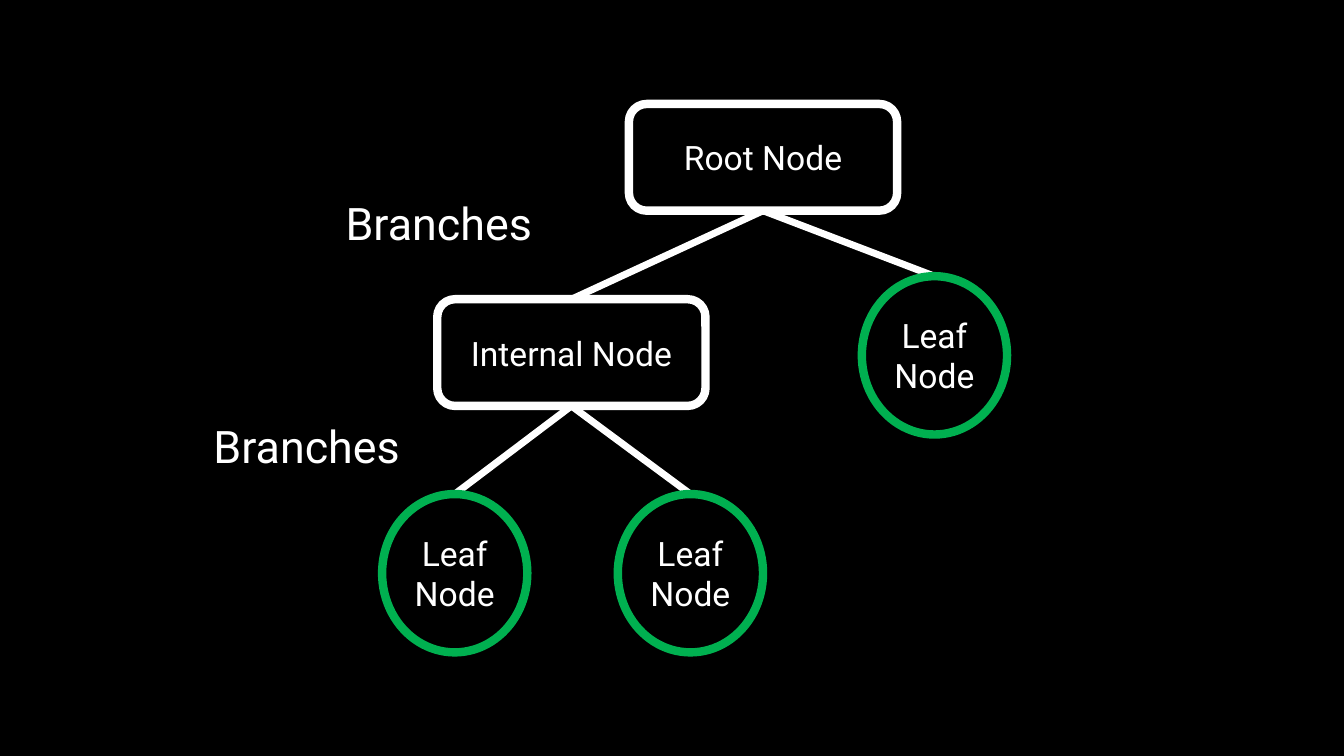
from dataclasses import dataclass

from lxml import etree
from pptx import Presentation
from pptx import util as u
from pptx.dml.color import RGBColor
from pptx.enum import shapes, text
from pptx.oxml import ns


@dataclass(frozen=True)
class Theme:
    background: RGBColor = RGBColor(0, 0, 0)
    ink: RGBColor = RGBColor(255, 255, 255)
    leaf: RGBColor = RGBColor(0x00, 0xB0, 0x50)
    font: str = "Roboto"
    node_size: u.Pt = u.Pt(24)
    label_size: u.Pt = u.Pt(32)
    outline: u.Pt = u.Pt(6)
    branch: u.Pt = u.Pt(5)


THEME = Theme()
BOX_SIZE = (u.Cm(6.76), u.Cm(2.69))
LEAF_SIZE = (u.Cm(3.66), u.Cm(3.99))
LABEL_SIZE = (u.Cm(5.21), u.Cm(1.47))
TOP, BOTTOM = 0, 2  # connection sites


def write(frame, words, size):
    """Fill a text frame with one styled paragraph and return it."""
    frame.word_wrap = True
    frame.text = words
    paragraph = frame.paragraphs[0]
    font = paragraph.runs[0].font
    font.name, font.size = THEME.font, size
    font.color.rgb = THEME.ink
    return paragraph


def add_node(slide, kind, left, top, size, words, outline):
    node = slide.shapes.add_shape(kind, u.Cm(left), u.Cm(top), *size)
    node.shadow.inherit = False
    node.fill.solid()
    node.fill.fore_color.rgb = THEME.background
    node.line.color.rgb = outline
    node.line.width = THEME.outline
    node.text_frame.vertical_anchor = text.MSO_ANCHOR.MIDDLE
    paragraph = write(node.text_frame, words, THEME.node_size)
    paragraph.alignment = text.PP_ALIGN.CENTER
    return node


def add_box(slide, left, top, words):
    return add_node(slide, shapes.MSO_SHAPE.ROUNDED_RECTANGLE, left, top,
                    BOX_SIZE, words, THEME.ink)


def add_leaf(slide, left, top):
    return add_node(slide, shapes.MSO_SHAPE.OVAL, left, top,
                    LEAF_SIZE, "Leaf Node", THEME.leaf)


def add_branch(slide, parent, child):
    """Join the bottom of a parent to the top of its child."""
    branch = slide.shapes.add_connector(shapes.MSO_CONNECTOR.STRAIGHT, 0, 0, 0, 0)
    branch.begin_connect(parent, BOTTOM)
    branch.end_connect(child, TOP)
    branch.line.color.rgb = THEME.ink
    branch.line.width = THEME.branch
    etree.SubElement(branch.element.spPr, ns.qn("a:effectLst"))


def add_label(slide, left, top):
    label = slide.shapes.add_textbox(u.Cm(left), u.Cm(top), *LABEL_SIZE)
    paragraph = write(label.text_frame, "Branches", THEME.label_size)
    paragraph.line_spacing = 0.9
    paragraph.space_before = u.Pt(10)


def main():
    deck = Presentation()
    deck.slide_width, deck.slide_height = u.Cm(33.87), u.Cm(19.05)
    slide = deck.slides.add_slide(deck.slide_layouts[6])
    slide.background.fill.solid()
    slide.background.fill.fore_color.rgb = THEME.background

    # Nodes
    root = add_box(slide, 15.85, 2.62, "Root Node")
    internal = add_box(slide, 11.02, 7.54, "Internal Node")
    root_leaf = add_leaf(slide, 21.72, 6.96)
    left_leaf, right_leaf = (add_leaf(slide, left, 12.45) for left in (9.63, 15.57))

    # Branches
    for parent, child in ((root, internal), (root, root_leaf),
                          (internal, left_leaf), (internal, right_leaf)):
        add_branch(slide, parent, child)

    # Leaves lie in front of the branch ends
    for leaf in (root_leaf, left_leaf, right_leaf):
        slide.shapes.element.append(leaf.element)

    # Labels beside each level of branches
    add_label(slide, 8.46, 4.95)
    add_label(slide, 5.13, 10.59)

    deck.save("out.pptx")


if __name__ == "__main__":
    main()
